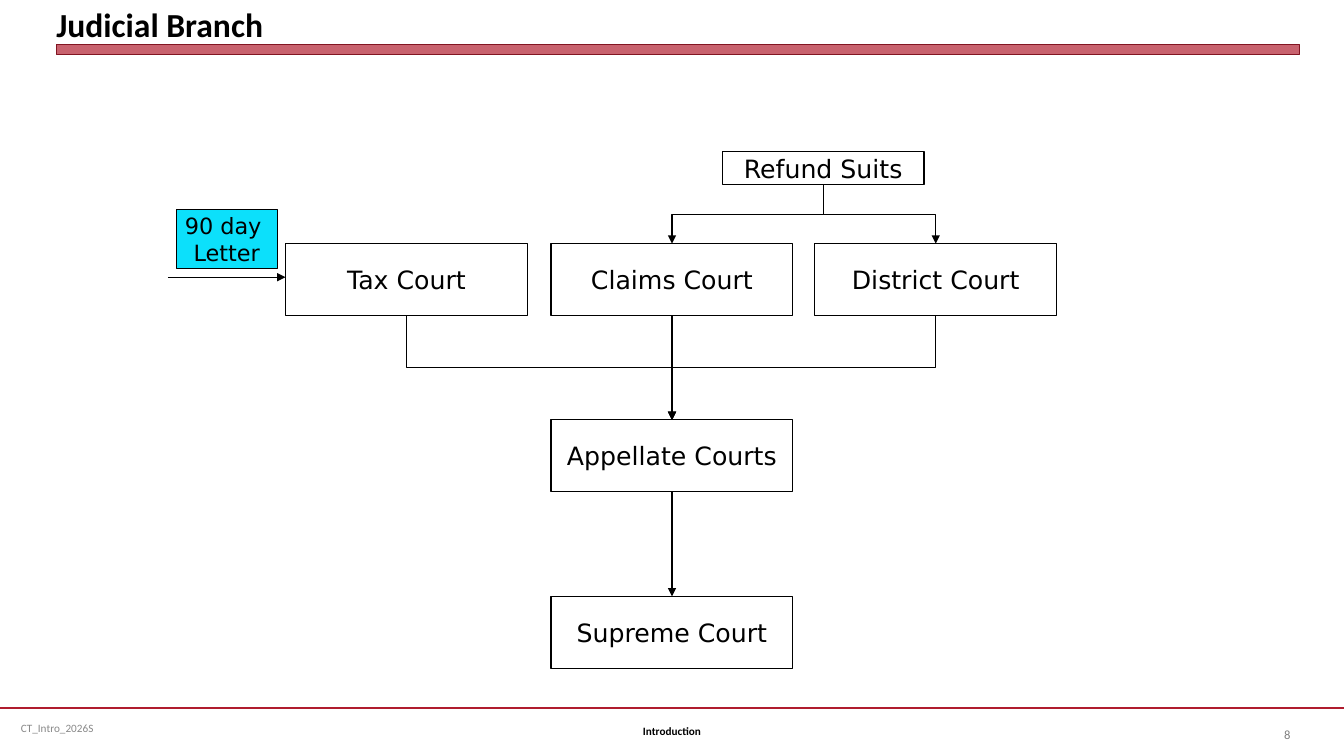
from dataclasses import dataclass

import lxml.etree
import pptx
import pptx.dml.color
import pptx.enum.shapes
import pptx.enum.text
import pptx.oxml.ns
import pptx.util

ALIGN = pptx.enum.text.PP_ALIGN
ANCHOR = pptx.enum.text.MSO_ANCHOR
CONNECTOR = pptx.enum.shapes.MSO_CONNECTOR
qn = pptx.oxml.ns.qn


@dataclass(frozen=True)
class Theme:
    """Colours, fonts and type sizes of the slide."""

    ink: str = "000000"
    accent: str = "B01C2E"
    accent_edge: str = "821522"
    notice: str = "0CE0FB"
    footer: str = "898989"
    number: str = "808080"
    heading_font: str = "Calibri"
    chart_font: str = "DejaVu Sans"
    title_size: int = 24
    court_size: int = 18
    notice_size: int = 16
    footer_size: int = 8
    number_size: int = 9
    hairline: float = 0
    thin: float = 0.75
    rule: float = 1.25


class FlowSlide:
    """Draws flow-chart elements on a grid of 160 columns by 90 rows."""

    def __init__(self, deck, theme):
        """Add a title-only slide to the deck."""
        self.theme = theme
        self.column = deck.slide_width / 160
        self.row = deck.slide_height / 90
        self.slide = deck.slides.add_slide(deck.slide_layouts[5])

    def place(self, left, top, width, height):
        """Turn grid units into slide lengths."""
        return [round(left * self.column), round(top * self.row),
                round(width * self.column), round(height * self.row)]

    def set_text(self, shape, text, size, font, color, bold=False,
                 align=ALIGN.CENTER, anchor=ANCHOR.MIDDLE, wrap=True):
        """Fill a shape with formatted text."""
        frame = shape.text_frame
        frame.text = text
        frame.word_wrap = wrap
        frame.vertical_anchor = anchor
        for paragraph in frame.paragraphs:
            paragraph.alignment = align
            for run in paragraph.runs:
                run.font.size = pptx.util.Pt(size)
                run.font.name = font
                run.font.bold = bold
                run.font.color.rgb = pptx.dml.color.RGBColor.from_string(color)

    def stroke(self, line, color, width):
        """Set the colour and width of a line."""
        line.color.rgb = pptx.dml.color.RGBColor.from_string(color)
        line.width = pptx.util.Pt(width)

    def title(self, text, *box):
        """Move and format the title placeholder."""
        heading = self.slide.shapes.title
        heading.left, heading.top, heading.width, heading.height = self.place(*box)
        frame = heading.text_frame
        frame.margin_left = frame.margin_right = 0
        frame.margin_top = frame.margin_bottom = 0
        self.set_text(heading, text, self.theme.title_size, self.theme.heading_font,
                      self.theme.ink, True, ALIGN.LEFT, ANCHOR.BOTTOM)

    def label(self, text, box, size, color, align, bold=False):
        """Add a line of footer text."""
        note = self.slide.shapes.add_textbox(*self.place(*box))
        self.set_text(note, text, size, self.theme.heading_font, color, bold, align)

    def rectangle(self, box, fill=None, edge=None, width=None):
        """Add a plain rectangle."""
        shape = self.slide.shapes.add_shape(
            pptx.enum.shapes.MSO_SHAPE.RECTANGLE, *self.place(*box))
        shape.shadow.inherit = False
        if fill:
            shape.fill.solid()
            shape.fill.fore_color.rgb = pptx.dml.color.RGBColor.from_string(fill)
        else:
            shape.fill.background()
        self.stroke(shape.line, edge or self.theme.ink,
                    self.theme.thin if width is None else width)
        return shape

    def bar(self, *box):
        """Add the translucent bar under the title."""
        band = self.rectangle(box, self.theme.accent, self.theme.accent_edge,
                              self.theme.hairline)
        color = band._element.spPr.find(qn("a:solidFill"))[0]
        lxml.etree.SubElement(color, qn("a:alpha")).set("val", "69000")

    def node(self, text, box, size=None, fill=None, wrap=True):
        """Add a labelled box of the flow chart."""
        self.set_text(self.rectangle(box, fill), text, size or self.theme.court_size,
                      self.theme.chart_font, self.theme.ink, wrap=wrap)

    def line(self, start, end, kind=CONNECTOR.STRAIGHT, color=None, width=None,
             arrow=True):
        """Add a connector between two grid points."""
        link = self.slide.shapes.add_connector(
            kind, *self.place(*start, *end))
        self.stroke(link.line, color or self.theme.ink, width or self.theme.thin)
        properties = link._element.spPr
        if arrow:
            tail = lxml.etree.SubElement(properties.find(qn("a:ln")), qn("a:tailEnd"))
            tail.set("type", "triangle")
        lxml.etree.SubElement(properties, qn("a:effectLst"))
        return link

    def branch(self, start, end):
        """Add an elbow that leaves and arrives vertically."""
        (x1, y1), (x2, y2) = start, end
        middle_x, middle_y = (x1 + x2) / 2, (y1 + y2) / 2
        reach, drop = abs(x2 - x1) / 2, (y2 - y1) / 2
        side = 1 if x2 > x1 else -1
        link = self.line((middle_x + side * drop, middle_y - reach),
                         (middle_x - side * drop, middle_y + reach),
                         CONNECTOR.ELBOW)
        link._element.spPr.find(qn("a:xfrm")).set(
            "rot", str((270 if side > 0 else 90) * 60000))


def main():
    """Build the court system slide."""
    deck = pptx.Presentation()
    deck.slide_width = pptx.util.Inches(13.33)
    deck.slide_height = pptx.util.Inches(7.5)
    theme = Theme()
    page = FlowSlide(deck, theme)

    page.line((0, 84.25), (160, 84.25), color=theme.accent, width=theme.rule,
              arrow=False)
    page.label("CT_Intro_2026S", (1.3, 84.25, 41.3, 4.8), theme.footer_size,
               theme.footer, ALIGN.LEFT)
    page.bar(6.7, 5.3, 148, 1.2)
    page.title("Judicial Branch", 6.7, 0.55, 148, 4.75)
    page.label("Introduction", (54.7, 84.6, 50.6, 4.8), theme.footer_size,
               theme.ink, ALIGN.CENTER, True)
    page.label("8", (146.8, 85, 8, 4.8), theme.number_size, theme.number,
               ALIGN.RIGHT)

    width, height = 28.8, 8.55
    trial_top, appeal_top, supreme_top = 29, 50, 71
    trial_bottom = trial_top + height
    trial_courts = {"Tax Court": 34, "Claims Court": 65.6, "District Court": 97}
    centers = {court: left + width / 2 for court, left in trial_courts.items()}
    axis = centers["Claims Court"]

    for court, left in trial_courts.items():
        page.node(court, (left, trial_top, width, height))
    for court, top in (("Appellate Courts", appeal_top),
                       ("Supreme Court", supreme_top)):
        page.node(court, (trial_courts["Claims Court"], top, width, height))

    page.node("Refund Suits", (86, 18, 24, 4), wrap=False)
    for court in ("Claims Court", "District Court"):
        page.branch((98, 22), (centers[court], trial_top))
    for court in ("Tax Court", "District Court"):
        page.branch((centers[court], trial_bottom), (axis, appeal_top))
    page.line((axis, trial_bottom), (axis, appeal_top))
    page.line((axis, appeal_top + height), (axis, supreme_top))

    page.line((20, 33), (trial_courts["Tax Court"], 33))
    page.node("90 day \nLetter", (21, 25, 12, 7), theme.notice_size,
              theme.notice, False)

    deck.save("out.pptx")


if __name__ == "__main__":
    main()
